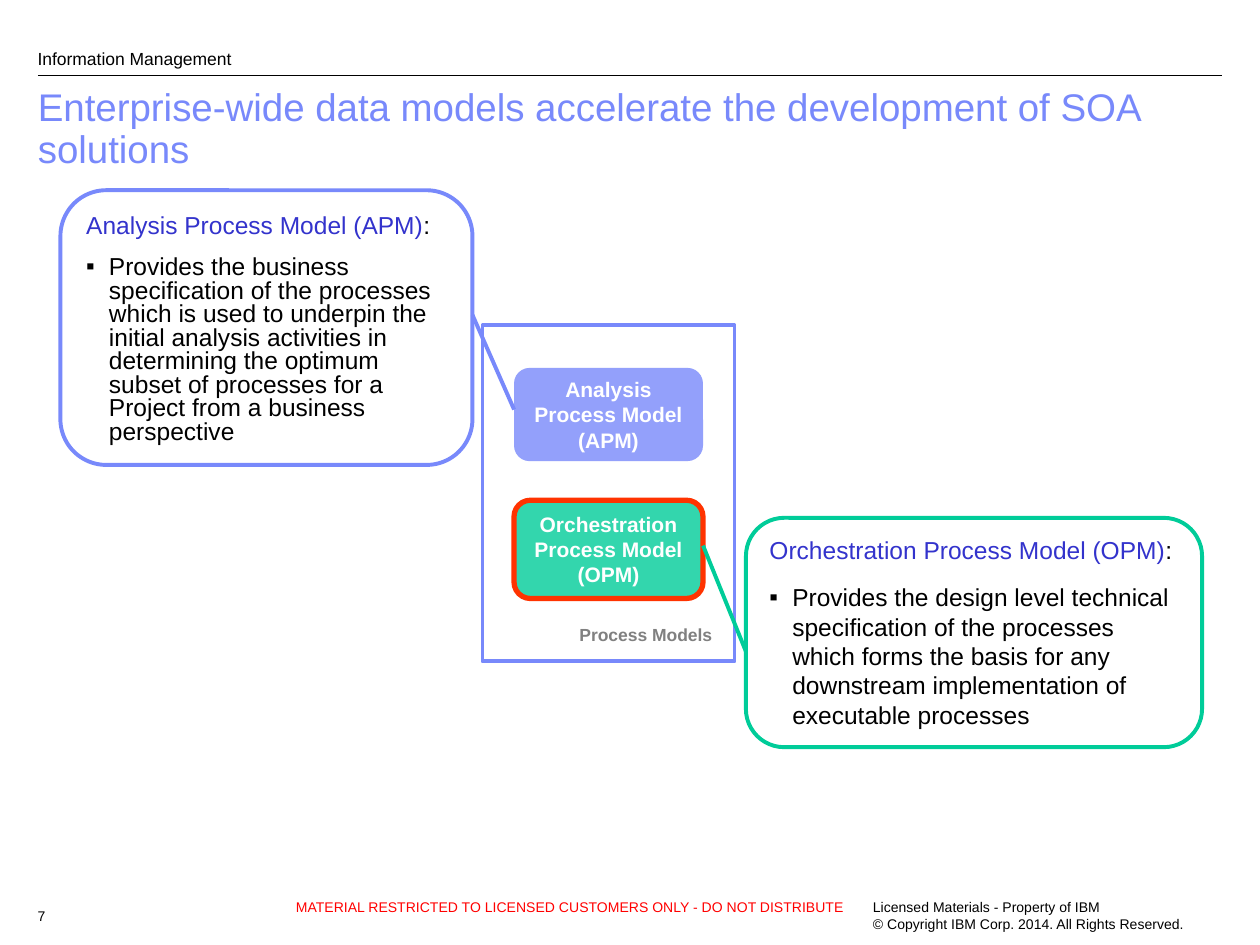
from lxml.etree import SubElement
from pptx import Presentation
from pptx.dml.color import RGBColor as Rgb
from pptx.enum.shapes import MSO_CONNECTOR as Connector, MSO_SHAPE as Shape
from pptx.enum.text import MSO_ANCHOR as Anchor, PP_ALIGN as Align
from pptx.oxml.ns import qn
from pptx.util import Pt

COLORS = {
    "black": "000000", "white": "FFFFFF", "red": "FF0000", "grey": "808080",
    "periwinkle": "7889FB", "blue": "3333CC", "green": "00CC99", "orange": "FF3300",
}

TITLE = "Enterprise-wide data models accelerate the development of SOA solutions"
TITLE_AREA = (14.4, 46.8, 683.28, 49.68)
FRAME_AREA = (275.76, 185.76, 144, 192.24)
INDENT = 13
MARGINS = {"margin_left": 7.2, "margin_right": 7.2, "margin_top": 3.6, "margin_bottom": 3.6}

# area, lines, font size, colour, bold
LABELS = [
    ((162, 509.76, 489.6, 25.2),
     ["MATERIAL RESTRICTED TO LICENSED CUSTOMERS ONLY - DO NOT DISTRIBUTE"], 8, "red", False),
    ((491.76, 509.76, 225.36, 25.2),
     ["Licensed Materials - Property of IBM",
      "© Copyright IBM Corp. 2014. All Rights Reserved."], 8, "black", False),
    ((14.4, 514.8, 28.8, 16.56), ["7"], 8, "black", False),
    ((324, 352.8, 94.32, 19.44), ["Process Models"], 10, "grey", True),
]
HEADER = ((14.4, 10.8, 612, 28.8), ["Information Management"], 10, "black", False)

# area, outline, heading, bullet text, line spacing
CALLOUTS = [
    ((34.56, 108.72, 235.44, 156.96), "periwinkle", "Analysis Process Model (APM)",
     "Provides the business specification of the processes which is used to underpin "
     "the initial analysis activities in determining the optimum subset of processes "
     "for a Project from a business perspective", 0.8),
    ((426.24, 295.92, 260.64, 131.04), "green", "Orchestration Process Model (OPM)",
     "Provides the design level technical specification of the processes which forms "
     "the basis for any downstream implementation of executable processes", 1.0),
]

# area, fill, outline, text
PROCESSES = [
    ((293.76, 210.24, 108, 53.28), "periwinkle", None, "Analysis Process Model (APM)"),
    ((293.76, 285.84, 108, 56.16), "green", "orange", "Orchestration Process Model (OPM)"),
]

# start x, start y, end x, end y, colour, width
LINES = [
    ((21.6, 43.2, 698.4, 43.2), "black", 0.75),
    ((293.76, 234, 270, 180), "periwinkle", 2.25),
    ((401.76, 311.76, 426.24, 372.24), "green", 2.25),
]


def rgb(name):
    return Rgb.from_string(COLORS[name])


def points(values):
    return [Pt(value) for value in values]


def format_font(font, size, color, bold=False):
    for name, value in {"name": "Arial", "size": Pt(size), "bold": bold}.items():
        setattr(font, name, value)
    font.color.rgb = rgb(color)


def format_frame(frame, anchor=Anchor.TOP):
    for name, value in MARGINS.items():
        setattr(frame, name, Pt(value))
    frame.word_wrap = True
    frame.vertical_anchor = anchor


def add_label(slide, area, lines, size, color, bold):
    frame = slide.shapes.add_textbox(*points(area)).text_frame
    format_frame(frame)
    frame.text = "\n".join(lines)
    for para in frame.paragraphs:
        format_font(para.font, size, color, bold)
    return frame


def add_box(slide, kind, area, outline, width=2.25, fill=None):
    """Add a flat shape; a fill is 80 % opaque, and None leaves fill or outline out."""
    box = slide.shapes.add_shape(kind, *points(area))
    box.shadow.inherit = False
    if fill:
        box.fill.solid()
        box.fill.fore_color.rgb = rgb(fill)
        color = box.fill._xPr.find(qn("a:solidFill"))[0]
        SubElement(color, qn("a:alpha"), val="80000")
    else:
        box.fill.background()
    if outline:
        box.line.color.rgb = rgb(outline)
        box.line.width = Pt(width)
    else:
        box.line.fill.background()
    return box


def add_bullet(para):
    props = para._p.get_or_add_pPr()
    props.set("marL", str(Pt(INDENT)))
    props.set("indent", str(-Pt(INDENT)))
    color = SubElement(props, qn("a:buClr"))
    SubElement(color, qn("a:srgbClr"), val=COLORS["black"])
    SubElement(props, qn("a:buFont"), typeface="Arial")
    SubElement(props, qn("a:buChar"), char="▪")


def add_callout(slide, area, outline, heading, text, spacing):
    frame = add_box(slide, Shape.ROUNDED_RECTANGLE, area, outline).text_frame
    format_frame(frame)
    head, body = frame.paragraphs[0], frame.add_paragraph()
    add_bullet(body)
    body.line_spacing = spacing
    body.space_before = Pt(10)
    for para, words, color in [(head, heading, "blue"), (head, ":", "black"),
                               (body, text, "black")]:
        para.alignment = Align.LEFT
        span = para.add_run()
        span.text = words
        format_font(span.font, 14, color)


def add_process(slide, area, fill, outline, text):
    box = add_box(slide, Shape.ROUNDED_RECTANGLE, area, outline, 3, fill)
    format_frame(box.text_frame, Anchor.MIDDLE)
    para = box.text_frame.paragraphs[0]
    para.text = text
    para.alignment = Align.CENTER
    format_font(para.font, 12, "white", True)


def add_line(slide, ends, color, width):
    line = slide.shapes.add_connector(Connector.STRAIGHT, *points(ends))
    line.line.color.rgb = rgb(color)
    line.line.width = Pt(width)
    SubElement(line._element.spPr, qn("a:effectLst"))


def add_title(slide):
    title = slide.shapes.title
    for name, value in zip(("left", "top", "width", "height"), points(TITLE_AREA)):
        setattr(title, name, value)
    format_frame(title.text_frame)
    title.text_frame.text = TITLE
    para = title.text_frame.paragraphs[0]
    para.alignment = Align.LEFT
    para.line_spacing = 0.9
    format_font(para.font, 22, "periwinkle")


def main():
    deck = Presentation()
    deck.slide_width, deck.slide_height = Pt(720), Pt(540)
    slide = deck.slides.add_slide(deck.slide_layouts[5])
    add_title(slide)
    header = add_label(slide, *HEADER)
    header.vertical_anchor = Anchor.BOTTOM
    header.margin_top = header.margin_bottom = 0
    add_box(slide, Shape.RECTANGLE, FRAME_AREA, "periwinkle")
    for adder, items in [(add_callout, CALLOUTS), (add_process, PROCESSES),
                         (add_label, LABELS), (add_line, LINES)]:
        for item in items:
            adder(slide, *item)
    deck.save("out.pptx")


if __name__ == "__main__":
    main()
